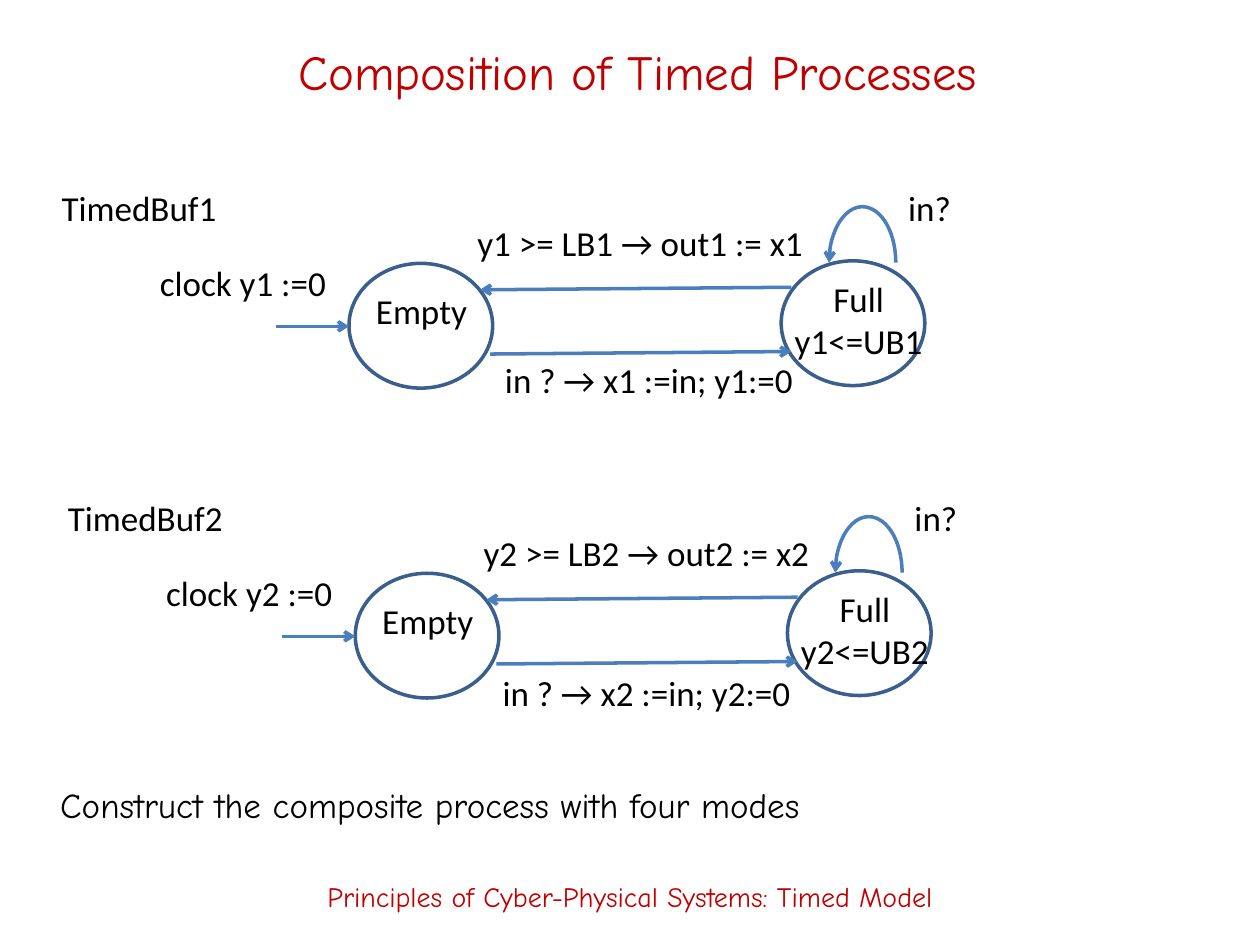
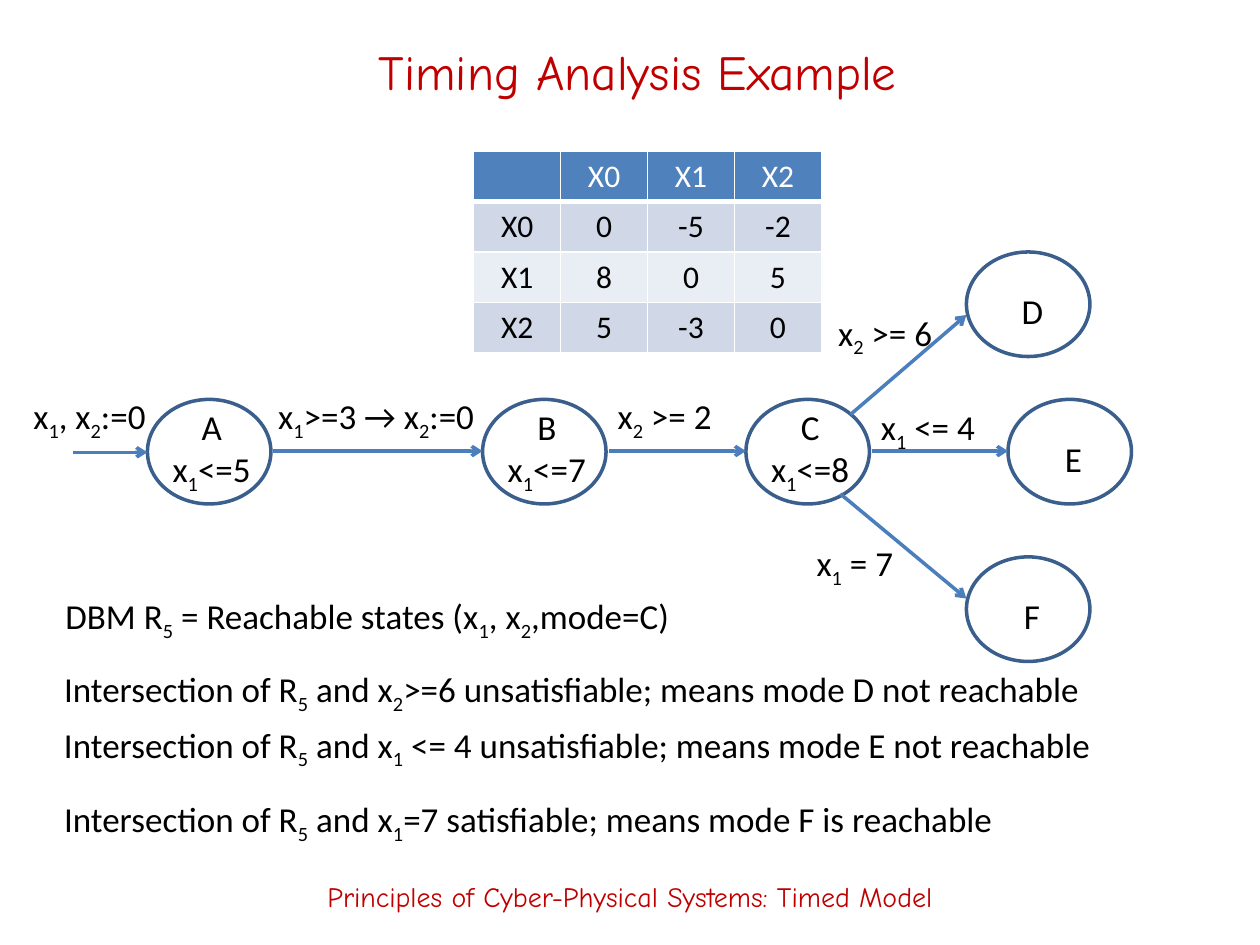
from lxml import etree
from pptx import Presentation
from pptx.dml.color import RGBColor
from pptx.enum import shapes, text
from pptx.oxml import ns
from pptx.util import Inches, Pt

# Shared look
RED = "C00000"
BLACK = "000000"
WHITE = "FFFFFF"
ARROW_BLUE = "4B7EBC"
MODE_BLUE = "3A5F8C"
HEADER_BLUE = "4F81BD"
BANDS = ("D0D8E8", "E9EDF4")
BODY_FONT = "Calibri"
TITLE_FONT = "Comic Neue"
FOOTER = "Principles of Cyber-Physical Systems: Timed Model"
LEFT, CENTER = text.PP_ALIGN.LEFT, text.PP_ALIGN.CENTER


def color(value):
    return RGBColor.from_string(value)


def write(frame, content, size=20, font=BODY_FONT, fill=BLACK, align=LEFT):
    """Fill a text frame; an underscore lowers the one character after it."""
    for index, line in enumerate(content.split("\n")):
        paragraph = frame.paragraphs[0] if index == 0 else frame.add_paragraph()
        paragraph.alignment = align
        first, *rest = line.split("_")
        pieces = [(first, False)]
        for part in rest:
            pieces += [(part[0], True), (part[1:], False)]
        for piece, lowered in pieces:
            if not piece:
                continue
            run = paragraph.add_run()
            run.text = piece
            run.font.size = Pt(size)
            run.font.name = font
            run.font.color.rgb = color(fill)
            if lowered:
                run.font._element.set("baseline", "-25000")


def add_text(slide, content, left, top, width, height=0.44, wrap=False,
             anchor=text.MSO_ANCHOR.TOP, **style):
    box = slide.shapes.add_textbox(Inches(left), Inches(top), Inches(width), Inches(height))
    frame = box.text_frame
    frame.word_wrap = wrap
    frame.vertical_anchor = anchor
    if not wrap:
        frame.auto_size = text.MSO_AUTO_SIZE.SHAPE_TO_FIT_TEXT
    write(frame, content, **style)


def style_line(line, stroke, arrow_end=None):
    line.color.rgb = color(stroke)
    line.width = Pt(2)
    if arrow_end:
        etree.SubElement(line._get_or_add_ln(), ns.qn("a:" + arrow_end), type="arrow")


def add_arrow(slide, start, end):
    connector = slide.shapes.add_connector(
        shapes.MSO_CONNECTOR.STRAIGHT, *(Inches(value) for value in (*start, *end)))
    style_line(connector.line, ARROW_BLUE, "tailEnd")
    etree.SubElement(connector._element.spPr, ns.qn("a:effectLst"))


def add_outline(slide, kind, left, top, width, height, stroke, arrow_end=None):
    shape = slide.shapes.add_shape(
        kind, Inches(left), Inches(top), Inches(width), Inches(height))
    shape.fill.background()
    style_line(shape.line, stroke, arrow_end)
    shape.shadow.inherit = False
    return shape


def add_mode(slide, left, top, width, height):
    add_outline(slide, shapes.MSO_SHAPE.OVAL, left, top, width, height, MODE_BLUE)


def add_self_loop(slide, left, top):
    loop = add_outline(slide, shapes.MSO_SHAPE.ARC, left, top, 0.53, 0.89,
                       ARROW_BLUE, "headEnd")
    loop.adjustments[0] = 108
    loop.adjustments[1] = 0


def add_base_slide(presentation, title):
    slide = presentation.slides.add_slide(presentation.slide_layouts[6])
    heading = dict(wrap=True, anchor=text.MSO_ANCHOR.MIDDLE, font=TITLE_FONT,
                   fill=RED, align=CENTER)
    add_text(slide, title, 0.77, 0.17, 8.58, 0.78, size=28, **heading)
    add_text(slide, FOOTER, 0, 6.72, 10, 0.78, size=16, **heading)
    return slide


def add_timed_buffer(slide, number, x, y, reset_label):
    """State machine of one buffer, with its name box at (x, y)."""
    def label(content, left, top, width, height=0.44, **style):
        add_text(slide, content.replace("#", number), x + left, y + top, width, height, **style)

    def arrow(start, end):
        add_arrow(slide, (x + start[0], y + start[1]), (x + end[0], y + end[1]))

    label("TimedBuf#", 0, 0, 1.44)
    # Modes
    add_mode(slide, x + 2.38, y + 0.66, 1.14, 0.99)
    label("Empty", 2.49, 0.82, 0.93, align=CENTER)
    add_mode(slide, x + 5.81, y + 0.64, 1.14, 0.99)
    label("Full\ny#<=UB#", 5.81, 0.72, 1.23, 0.77, align=CENTER)
    # Transitions
    arrow((1.8, 1.16), (2.38, 1.16))
    label("clock y# :=0", 0.78, 0.6, 1.53)
    arrow((3.5, 1.38), (5.89, 1.36))
    add_text(slide, f"in ? → x{number} :=in; y{number}:=0", *reset_label, 2.53)
    arrow((5.89, 0.85), (3.42, 0.87))
    label("y# >= LB# → out# := x#", 3.3, 0.28, 2.89)
    add_self_loop(slide, x + 6.19, y + 0.21)
    label("in?", 6.72, 0, 0.54)


def set_borders(cell, bottom):
    properties = cell._tc.get_or_add_tcPr()
    for index, (side, width) in enumerate(
            (("lnL", 1), ("lnR", 1), ("lnT", 1), ("lnB", bottom))):
        border = etree.Element(ns.qn("a:" + side), w=str(Pt(width)))
        fill = etree.SubElement(border, ns.qn("a:solidFill"))
        etree.SubElement(fill, ns.qn("a:srgbClr"), val=WHITE)
        properties.insert(index, border)


def add_matrix(slide, rows, left, top, column_width, row_height):
    table = slide.shapes.add_table(
        len(rows), len(rows[0]), Inches(left), Inches(top),
        Inches(column_width * len(rows[0])), Inches(row_height * len(rows))).table
    for column in table.columns:
        column.width = Inches(column_width)
    for row_index, values in enumerate(rows):
        header = row_index == 0
        table.rows[row_index].height = Inches(row_height)
        for column_index, value in enumerate(values):
            cell = table.cell(row_index, column_index)
            cell.fill.solid()
            cell.fill.fore_color.rgb = color(
                HEADER_BLUE if header else BANDS[(row_index - 1) % 2])
            set_borders(cell, bottom=3 if header else 1)
            write(cell.text_frame, value, size=18, align=CENTER,
                  fill=WHITE if header else BLACK)


def build_composition(presentation):
    slide = add_base_slide(presentation, "Composition of Timed Processes")
    add_timed_buffer(slide, "1", 0.39, 1.43, reset_label=(3.91, 2.8))
    add_timed_buffer(slide, "2", 0.44, 3.89, reset_label=(3.89, 5.28))
    add_text(slide, "Construct the composite process with four modes",
             0.38, 6.17, 9.33, wrap=True, font=TITLE_FONT)


def build_timing_analysis(presentation):
    slide = add_base_slide(presentation, "Timing Analysis Example")

    # Modes with an invariant, then the three target modes
    for content, left in (("A\nx_1<=5", 1.17), ("B\nx_1<=7", 3.83), ("C\nx_1<=8", 5.92)):
        add_mode(slide, left, 3.17, 0.98, 0.83)
        add_text(slide, content, left + 0.09, 3.17, 0.84, 0.77, align=CENTER)
    for name, left, top in (("D", 7.67, 2), ("E", 8, 3.17), ("F", 7.67, 4.42)):
        add_mode(slide, left, top, 0.98, 0.83)
        add_text(slide, name, left + 0.34, top + 0.25, 0.36, align=CENTER)

    # Transitions: start, end, guard, guard box
    transitions = [
        ((0.58, 3.59), (1.17, 3.59), "x_1, x_2:=0", (0.15, 3.08, 1.12)),
        ((2.17, 3.58), (3.83, 3.58), "x_1>=3 → x_2:=0", (2.08, 3.08, 1.81)),
        ((4.83, 3.58), (5.92, 3.58), "x_2 >= 2", (4.79, 3.08, 0.97)),
        ((6.75, 3.29), (7.67, 2.5), "x_2 >= 6", (6.54, 2.42, 0.97)),
        ((6.92, 3.58), (8, 3.58), "x_1 <= 4", (6.88, 3.17, 0.97)),
        ((6.67, 3.92), (7.67, 4.75), "x_1 = 7", (6.37, 4.25, 0.83)),
    ]
    for start, end, guard, place in transitions:
        add_arrow(slide, start, end)
        add_text(slide, guard, *place, align=CENTER)

    # Difference bounds matrix
    matrix = [
        ("", "X0", "X1", "X2"),
        ("X0", "0", "-5", "-2"),
        ("X1", "8", "0", "5"),
        ("X2", "5", "-3", "0"),
    ]
    add_matrix(slide, matrix, 3.76, 1.2, column_width=0.69, row_height=0.4)

    # Conclusions
    for content, left, top, width in (
        ("DBM R_5 = Reachable states (x_1, x_2,mode=C)", 0.42, 4.67, 5.12),
        ("Intersection of R_5 and x_2>=6 unsatisfiable; means mode D not reachable",
         0.41, 5.25, 8.41),
        ("Intersection of R_5 and x_1 <= 4 unsatisfiable; means mode E not reachable",
         0.41, 5.69, 8.5),
        ("Intersection of R_5 and x_1=7 satisfiable; means mode F is reachable",
         0.41, 6.28, 7.72),
    ):
        add_text(slide, content, left, top, width)


def main():
    presentation = Presentation()
    presentation.slide_width = Inches(10)
    presentation.slide_height = Inches(7.5)
    build_composition(presentation)
    build_timing_analysis(presentation)
    presentation.save("out.pptx")


if __name__ == "__main__":
    main()
